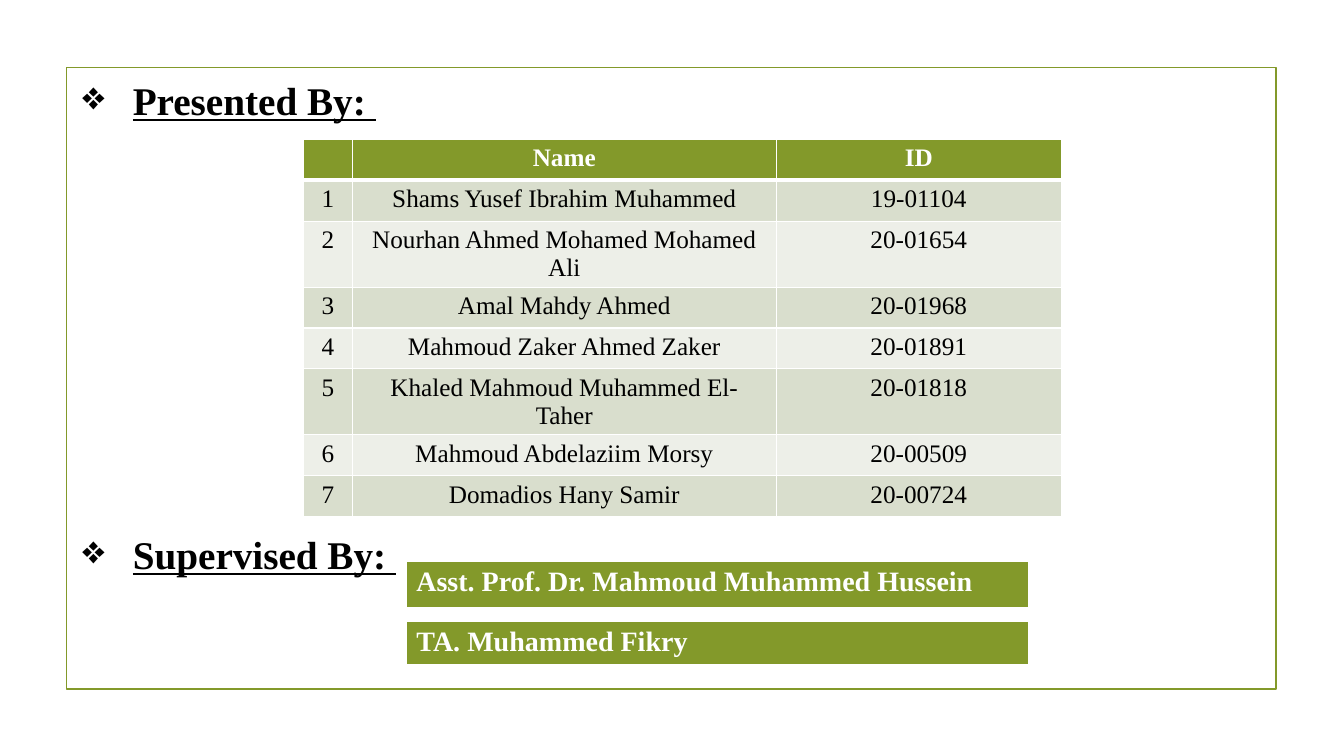
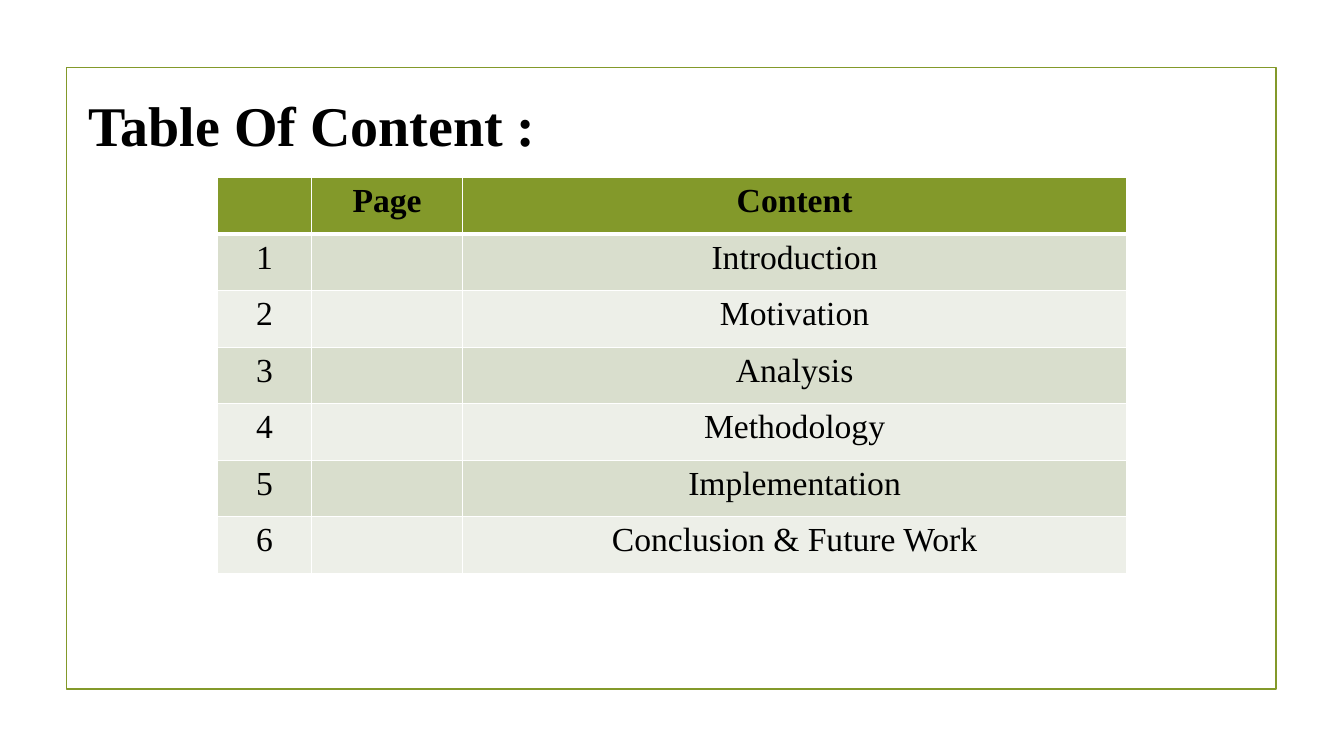
from pptx import Presentation
from pptx.dml.color import RGBColor
from pptx.enum.shapes import MSO_SHAPE as Shape
from pptx.enum.text import PP_ALIGN as Align
from pptx.oxml import parse_xml
from pptx.oxml.ns import nsdecls
from pptx.util import Pt

GREEN, WHITE, BLACK = "83992A", "FFFFFF", "000000"
BANDS = ("D9DECD", "EDEFE8")
FONT = "Times New Roman"


def rgb(code):
    return RGBColor.from_string(code)


def edge(cell, top, base):
    """Give a filled cell white borders: 1 pt sides, top and base as given."""
    props = cell._tc.get_or_add_tcPr()
    for spot, (side, width) in enumerate(zip("LRTB", (1, 1, top, base))):
        props.insert(spot, parse_xml(
            f'<a:ln{side} {nsdecls("a")} w="{Pt(width)}"><a:solidFill>'
            f'<a:srgbClr val="{WHITE}"/></a:solidFill></a:ln{side}>'))


class Deck:
    def __init__(self):
        self.prs = Presentation()
        self.prs.slide_width, self.prs.slide_height = Pt(960), Pt(540)
        self.slide = None

    def page(self):
        """Start a slide with the green frame."""
        self.slide = self.prs.slides.add_slide(self.prs.slide_layouts[6])
        frame = self.slide.shapes.add_shape(
            Shape.RECTANGLE, Pt(47.6), Pt(48.2), Pt(864), Pt(444))
        frame.shadow.inherit = False
        frame.fill.background()
        frame.line.color.rgb = rgb(GREEN)
        frame.line.width = Pt(1.25)

    def text(self, para, words, size, color=BLACK, bold=True, under=None):
        run = para.add_run()
        run.text = words
        font = run.font
        font.name, font.size = FONT, Pt(size)
        font.bold, font.underline = bold, under
        font.color.rgb = rgb(color)

    def title(self, words, left, top, width, height, size, under=None):
        box = self.slide.shapes.add_textbox(
            Pt(left), Pt(top), Pt(width), Pt(height))
        box.text_frame.word_wrap = True
        para = box.text_frame.paragraphs[0]
        self.text(para, words, size, under=under)
        return para

    def label(self, words, top):
        """Add an underlined heading with a diamond bullet."""
        para = self.title(words, 51.8, top, 270, 41, 28, under=True)
        props = para._p.get_or_add_pPr()
        props.set("marL", str(Pt(36)))
        props.set("indent", str(-Pt(36)))
        props.append(parse_xml(f'<a:buChar {nsdecls("a")} char="❖"/>'))

    def table(self, rows, left, top, widths, height, size,
              ink=WHITE, align=Align.CENTER):
        """Add a table with a green head row and banded body rows."""
        grid = self.slide.shapes.add_table(
            len(rows), len(widths), Pt(left), Pt(top),
            Pt(sum(widths)), Pt(height * len(rows))).table
        grid.first_row = grid.horz_banding = False
        for col, width in zip(grid.columns, widths):
            col.width = Pt(width)
        for r, row in enumerate(rows):
            grid.rows[r].height = Pt(height)
            head = r == 0
            for c, words in enumerate(row):
                cell = grid.cell(r, c)
                cell.fill.solid()
                cell.fill.fore_color.rgb = rgb(
                    GREEN if head else BANDS[(r - 1) % 2])
                edge(cell, 3 if r == 1 else 1, 3 if head else 1)
                if words:
                    para = cell.text_frame.paragraphs[0]
                    para.alignment = align
                    self.text(para, words, size, ink if head else BLACK, head)

    def bar(self, words, top, height):
        self.table([[words]], 290.2, top, [444.2], height, 20,
                   align=Align.LEFT)


TEAM = [
    ("Shams Yusef Ibrahim Muhammed", "19-01104"),
    ("Nourhan Ahmed Mohamed Mohamed Ali", "20-01654"),
    ("Amal Mahdy Ahmed", "20-01968"),
    ("Mahmoud Zaker Ahmed Zaker", "20-01891"),
    ("Khaled Mahmoud Muhammed El-Taher", "20-01818"),
    ("Mahmoud Abdelaziim Morsy", "20-00509"),
    ("Domadios Hany Samir", "20-00724"),
]
TOPICS = ["Introduction", "Motivation", "Analysis", "Methodology",
          "Implementation", "Conclusion & Future Work"]


def main():
    deck = Deck()

    deck.page()
    people = [(str(n), *who) for n, who in enumerate(TEAM, 1)]
    deck.table([("", "Name", "ID")] + people,
               216.8, 99.6, (34.8, 303, 203.4), 29.2, 18)
    deck.label("Presented By: ", 51)
    deck.label("Supervised By: ", 375.2)
    deck.bar("Asst. Prof. Dr. Mahmoud Muhammed Hussein", 401, 34)
    deck.bar("TA. Muhammed Fikry", 444.2, 30)

    deck.page()
    deck.title("Table Of Content :", 56.2, 61.2, 479, 55.4, 40)
    topics = [(str(n), "", topic) for n, topic in enumerate(TOPICS, 1)]
    deck.table([("", "Page", "Content")] + topics,
               155.5, 126.8, (67, 108, 474.2), 40.4, 24, ink=BLACK)

    deck.prs.save("out.pptx")


if __name__ == "__main__":
    main()
